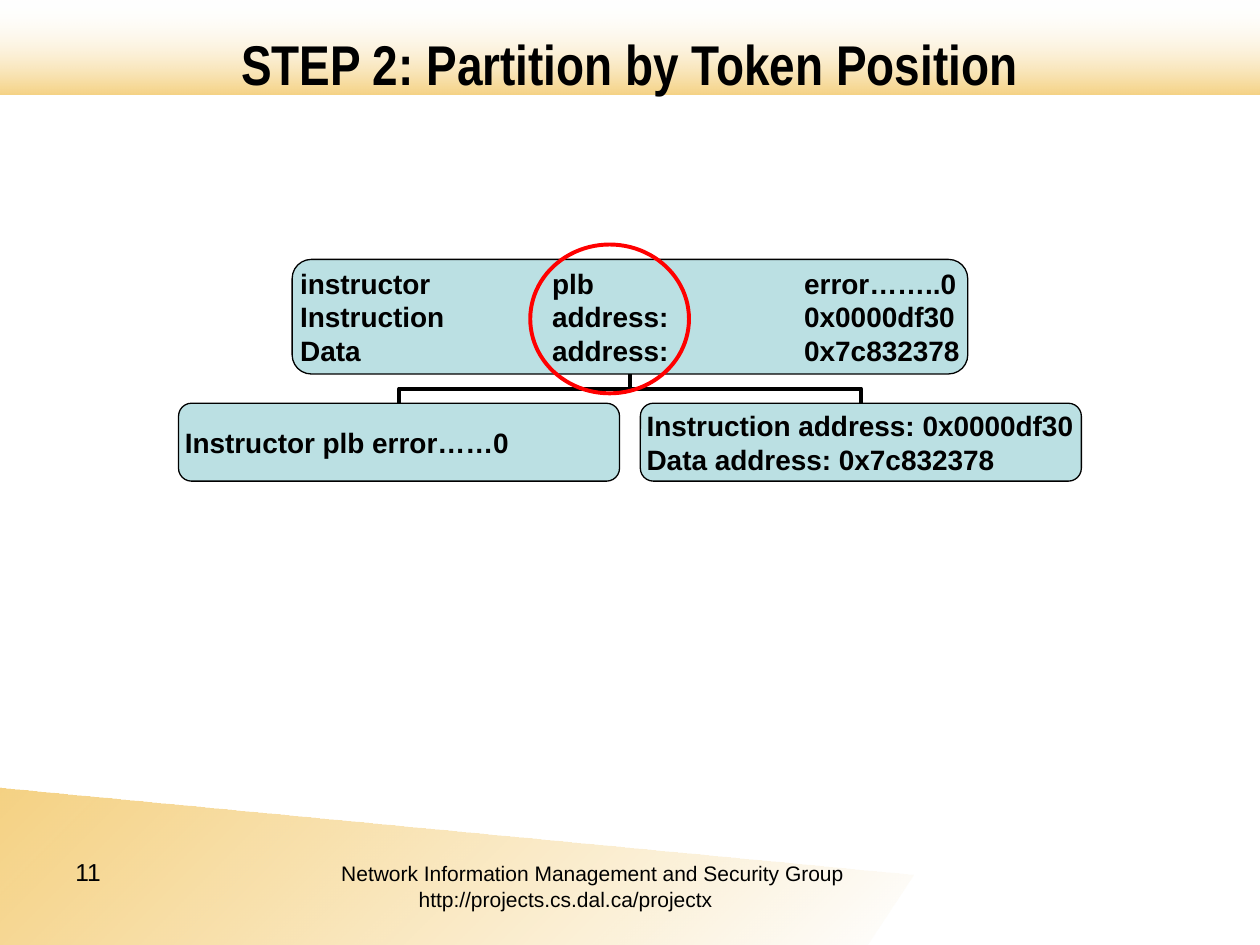
from lxml.etree import SubElement
from pptx import Presentation
from pptx.dml.color import RGBColor
from pptx.enum.shapes import MSO_CONNECTOR as Connector, MSO_SHAPE as Shape
from pptx.enum.text import MSO_ANCHOR as Anchor, PP_ALIGN as Align
from pptx.oxml.ns import qn
from pptx.util import Cm, Pt

COLORS = {
    "text": "000000",
    "amber": "EBA303",
    "white": "FFFFFF",
    "node": "BBE0E3",
    "highlight": "FF0000",
}
SLIDE_WIDTH, SLIDE_HEIGHT = 25.4, 19.05


def rgb(name):
    return RGBColor.from_string(COLORS[name])


def write(frame, lines, font="Arial", size=16, bold=False, align=Align.LEFT,
          anchor=Anchor.TOP, wrap=True, margins=(0.25, 0.13), tabs=()):
    """Fill a frame; a line is a string or a list of (text, size) runs.

    tabs holds one tuple of tab positions in cm for each line.
    """
    frame.word_wrap = wrap
    frame.vertical_anchor = anchor
    frame.margin_left = frame.margin_right = Cm(margins[0])
    frame.margin_top = frame.margin_bottom = Cm(margins[1])
    for index, line in enumerate(lines):
        paragraph = frame.paragraphs[0] if index == 0 else frame.add_paragraph()
        paragraph.alignment = align
        if tabs:
            tab_list = SubElement(paragraph._p.get_or_add_pPr(), qn("a:tabLst"))
            for position in tabs[index]:
                SubElement(tab_list, qn("a:tab"), pos=str(Cm(position)), algn="l")
        runs = [(line, size)] if isinstance(line, str) else line
        for text, run_size in runs:
            run = paragraph.add_run()
            run.text = text
            run.font.name = font
            run.font.size = Pt(run_size)
            run.font.bold = bold
            run.font.color.rgb = rgb("text")


def fade(shape, angle, end_opacity):
    """Fade the shape from translucent amber to white, without an outline."""
    shape.shadow.inherit = False
    shape.line.fill.background()
    shape.fill.gradient()
    shape.fill.gradient_angle = angle
    for stop, name in zip(shape.fill.gradient_stops, ("amber", "white")):
        stop.color.rgb = rgb(name)
    stop_colors = shape._element.spPr.findall(".//" + qn("a:srgbClr"))
    for color, opacity in zip(stop_colors, (49, end_opacity)):
        SubElement(color, qn("a:alpha"), val=str(opacity * 1000))


def add_background(slide):
    corners = [(0, 15.88), (18.42, 17.63), (17.48, SLIDE_HEIGHT), (0, SLIDE_HEIGHT)]
    points = [(Cm(x), Cm(y)) for x, y in corners]
    builder = slide.shapes.build_freeform(*points[0])
    builder.add_line_segments(points[1:])
    fade(builder.convert_to_shape(), 315, 51)
    header = slide.shapes.add_shape(Shape.RECTANGLE, 0, 0, Cm(SLIDE_WIDTH), Cm(1.91))
    fade(header, 90, 0)


def add_text(slide, left, top, width, height, lines, **text_format):
    box = slide.shapes.add_textbox(Cm(left), Cm(top), Cm(width), Cm(height))
    write(box.text_frame, lines, **text_format)


def add_node(slide, left, top, width, height, lines, tabs=()):
    node = slide.shapes.add_shape(
        Shape.ROUNDED_RECTANGLE, Cm(left), Cm(top), Cm(width), Cm(height))
    node.shadow.inherit = False
    node.fill.solid()
    node.fill.fore_color.rgb = rgb("node")
    node.line.color.rgb = rgb("text")
    node.line.width = Pt(0.75)
    write(node.text_frame, lines, bold=True, anchor=Anchor.MIDDLE, wrap=False,
          margins=(0.05, 0.03), tabs=tabs)


def add_branch(slide, parent_x, parent_y, child_x, child_y):
    """Join parent and child with an elbow turned to leave vertically."""
    middle_x, middle_y = (parent_x + child_x) / 2, (parent_y + child_y) / 2
    half_drop, half_span = (child_y - parent_y) / 2, abs(child_x - parent_x) / 2
    to_right = child_x > parent_x
    offset = half_drop if to_right else -half_drop
    branch = slide.shapes.add_connector(
        Connector.ELBOW,
        Cm(middle_x + offset), Cm(middle_y - half_span),
        Cm(middle_x - offset), Cm(middle_y + half_span))
    branch.line.color.rgb = rgb("text")
    branch.line.width = Pt(2.25)
    properties = branch._element.spPr
    properties.find(qn("a:xfrm")).set("rot", str((270 if to_right else 90) * 60000))
    SubElement(properties, qn("a:effectLst"))


def add_highlight(slide, left, top, width, height):
    ring = slide.shapes.add_shape(
        Shape.OVAL, Cm(left), Cm(top), Cm(width), Cm(height))
    ring.shadow.inherit = False
    ring.fill.background()
    ring.line.color.rgb = rgb("highlight")
    ring.line.width = Pt(2.25)


def add_partition_tree(slide):
    center = SLIDE_WIDTH / 2
    root_width, root_top, root_height = 13.62, 5.23, 2.31
    child_width, child_height, child_top, child_gap = 8.89, 1.57, 8.13, 0.42
    root_lines = [
        "instructor\tplb\terror……..0",
        "Instruction\taddress:\t0x0000df30",
        "Data\taddress:\t0x7c832378",
    ]
    partitions = [
        ["Instructor plb error……0"],
        ["Instruction address: 0x0000df30", "Data address: 0x7c832378"],
    ]
    step = (child_width + child_gap) / 2
    child_centers = (center - step, center + step)

    for child_center in child_centers:
        add_branch(slide, center, root_top + root_height, child_center, child_top)
    add_node(slide, center - root_width / 2, root_top, root_width, root_height,
             root_lines, tabs=[(5.08, 10.16)] * len(root_lines))
    for child_center, lines in zip(child_centers, partitions):
        add_node(slide, child_center - child_width / 2, child_top,
                 child_width, child_height, lines)


def main():
    presentation = Presentation()
    presentation.slide_width = Cm(SLIDE_WIDTH)
    presentation.slide_height = Cm(SLIDE_HEIGHT)
    slide = presentation.slides.add_slide(presentation.slide_layouts[6])

    add_background(slide)
    footer = [
        [("11", 14), ("\tNetwork Information Management and Security Group", 12)],
        "\thttp://projects.cs.dal.ca/projectx",
    ]
    add_text(slide, 1.27, 17.15, 17.42, 1.32, footer, size=12,
             tabs=[(5.36,), (6.92,)])
    add_text(slide, 1.27, 0.43, 22.86, 1.68, ["STEP 2: Partition by Token Position"],
             font="Arial Narrow", size=32, bold=True, align=Align.CENTER,
             anchor=Anchor.MIDDLE)
    add_partition_tree(slide)
    add_highlight(slide, 10.69, 4.93, 3.2, 3)

    presentation.save("out.pptx")


if __name__ == "__main__":
    main()
